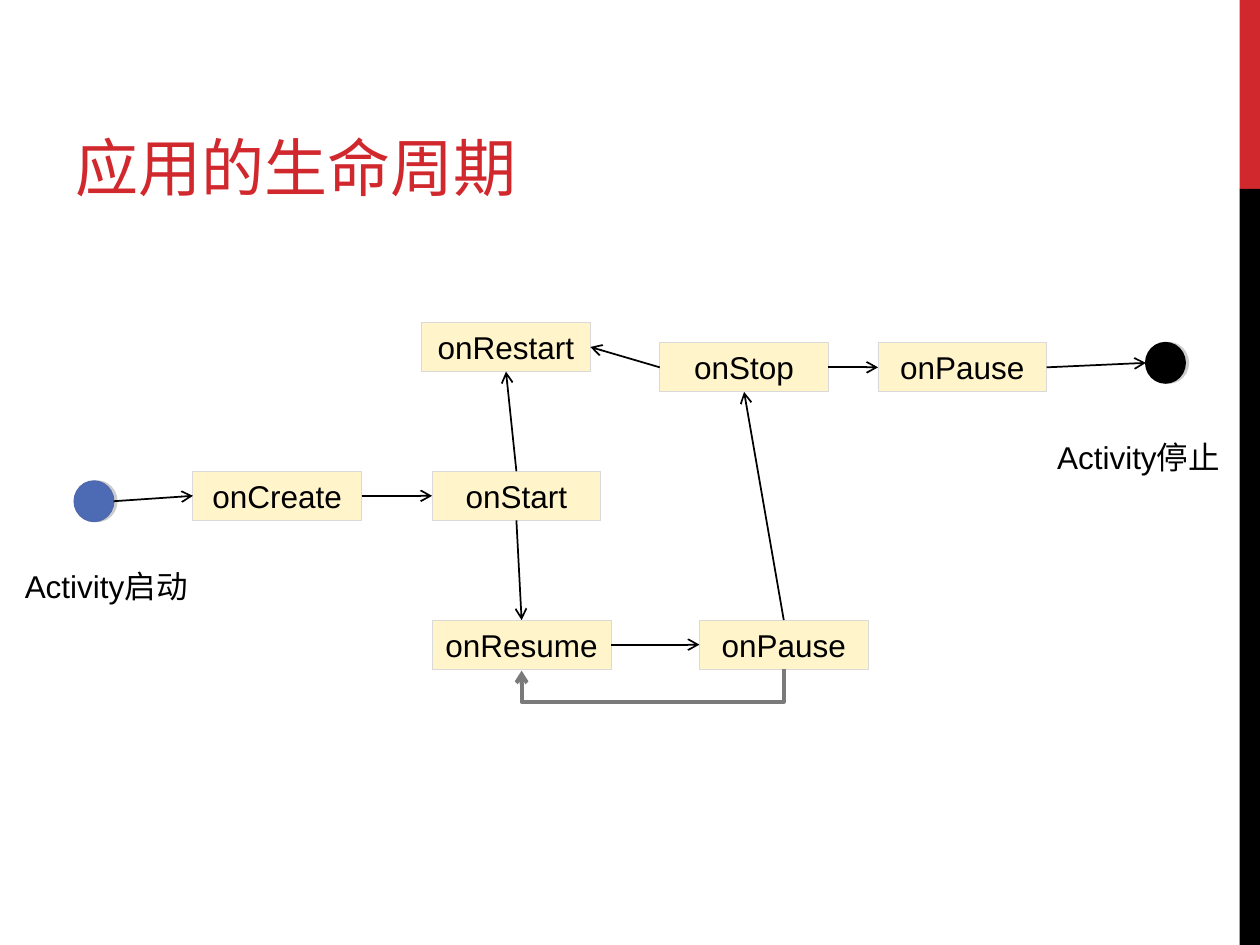
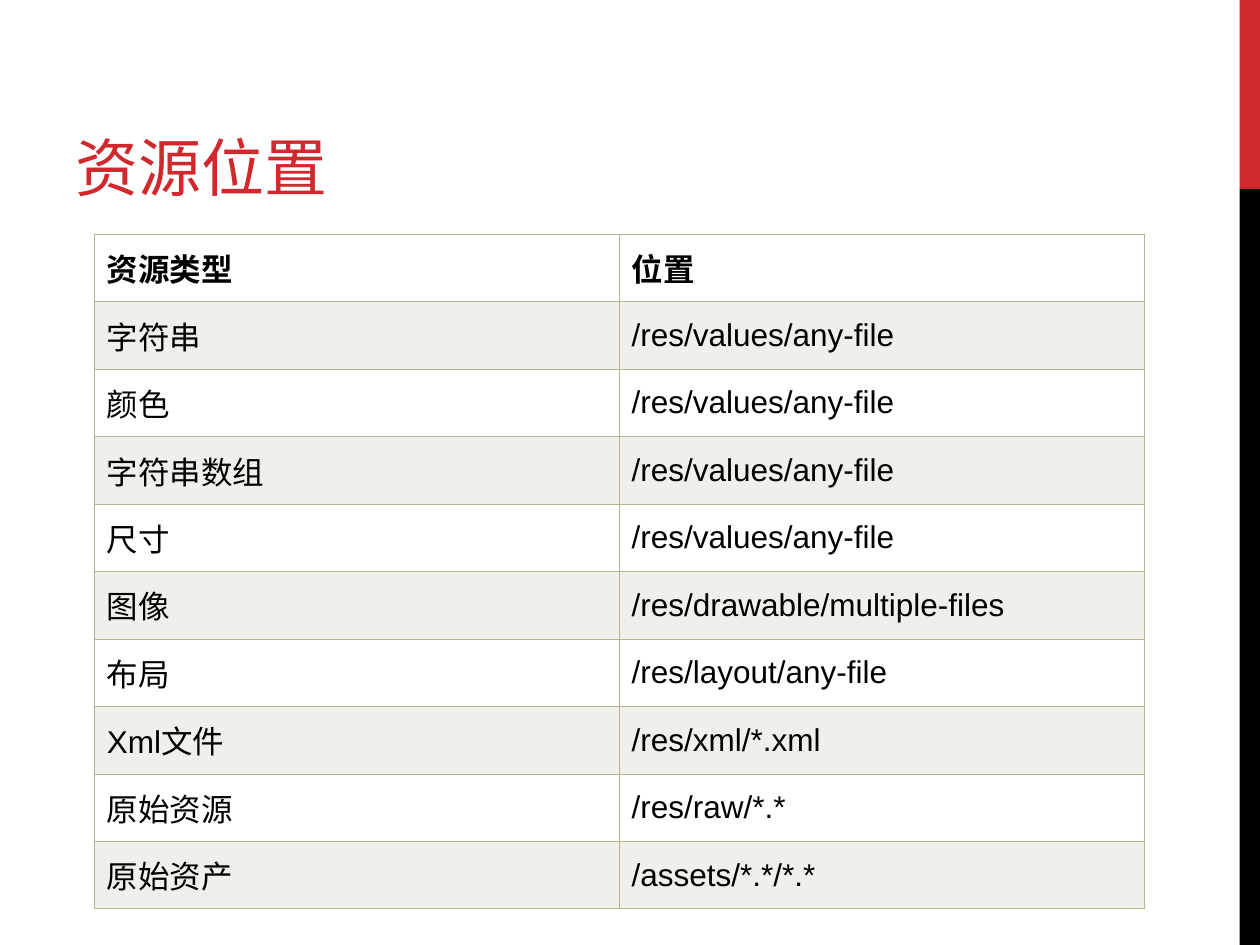
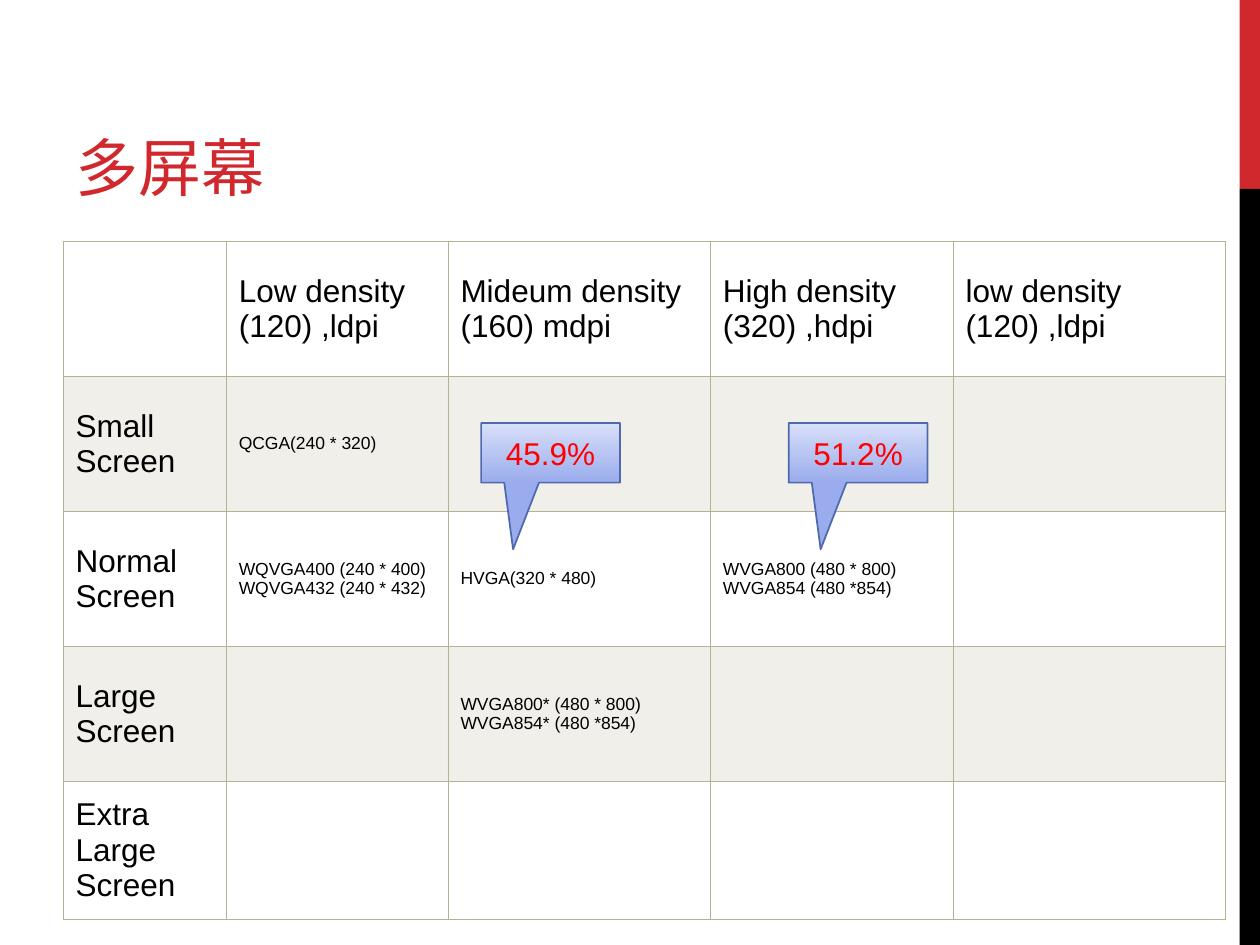
from dataclasses import dataclass
from typing import Any, NamedTuple, Optional

import lxml.etree
import pptx
import pptx.dml.color
import pptx.enum.shapes
import pptx.enum.text
import pptx.oxml.ns
import pptx.util

Cm = pptx.util.Cm
Pt = pptx.util.Pt
qn = pptx.oxml.ns.qn
RGB = pptx.dml.color.RGBColor.from_string
Align = pptx.enum.text.PP_ALIGN
Anchor = pptx.enum.text.MSO_ANCHOR
AutoSize = pptx.enum.text.MSO_AUTO_SIZE
ShapeKind = pptx.enum.shapes.MSO_SHAPE
ConnectorKind = pptx.enum.shapes.MSO_CONNECTOR


# Shared look
@dataclass(frozen=True)
class Theme:
    latin: str = "Arial"
    east_asian: str = "Noto Sans CJK SC"
    red: str = "D1282E"
    black: str = "000000"
    node_fill: str = "FFF4CA"
    node_line: str = "D9D9D9"
    start_fill: str = "4D6BB5"
    blue_line: str = "4E69AE"
    shadow: str = "808080"
    loop: str = "7A7A7A"
    table: str = "B4B392"
    callout_top: str = "D8DFF9"
    callout_bottom: str = "9AACED"
    callout_text: str = "FF0000"
    title_size: float = 36
    body_size: float = 18
    small_size: float = 10


THEME = Theme()
TOP, LEFT, BOTTOM, RIGHT = range(4)


class Box(NamedTuple):
    left: float
    top: float
    width: float
    height: float

    def lengths(self) -> list:
        return [Cm(value) for value in self]

    def side(self, side: int) -> tuple:
        across, down = {TOP: (0.5, 0), LEFT: (0, 0.5),
                        BOTTOM: (0.5, 1), RIGHT: (1, 0.5)}[side]
        return Cm(self.left + across * self.width), Cm(self.top + down * self.height)


@dataclass(frozen=True)
class Node:
    name: str
    box: Box
    text: str = ""
    fill: str = THEME.node_fill
    line: str = THEME.node_line

    @property
    def is_circle(self) -> bool:
        return not self.text


class Arrow(NamedTuple):
    source: str
    source_side: int
    target: str
    target_side: int


class Label(NamedTuple):
    text: str
    box: Box


# Drawing helpers
def apply_format(target: Any, **values: Any) -> None:
    for name, value in values.items():
        setattr(target, name, value)


def add_element(parent: Any, tag: str, **attributes: str) -> Any:
    return lxml.etree.SubElement(parent, qn(tag), attributes)


def write_text(frame: Any, text: str, size: float = THEME.body_size,
               color: str = THEME.black, bold: bool = False,
               align: Any = Align.LEFT) -> None:
    frame.text = text
    for paragraph in frame.paragraphs:
        paragraph.alignment = align
        for run in paragraph.runs:
            apply_format(run.font, size=Pt(size), bold=bold, name=THEME.latin)
            run.font.color.rgb = RGB(color)
            add_element(run.font._element, "a:ea", typeface=THEME.east_asian)


def set_line(line: Any, color: str, width: float) -> None:
    line.color.rgb = RGB(color)
    line.width = Pt(width)


def add_plain_shape(slide: Any, kind: Any, box: Box, fill: Optional[str] = None) -> Any:
    shape = slide.shapes.add_shape(kind, *box.lengths())
    shape.shadow.inherit = False
    shape.line.fill.background()
    if fill:
        shape.fill.solid()
        shape.fill.fore_color.rgb = RGB(fill)
    return shape


def add_bands(slide: Any) -> None:
    """Draw the right-hand bands and move them to the slide's layout."""
    layout_tree = slide.slide_layout.shapes.element
    for box, color in ((Box(24.99, 0, 0.41, 3.81), THEME.red),
                       (Box(24.99, 3.81, 0.41, 15.24), THEME.black)):
        band = add_plain_shape(slide, ShapeKind.RECTANGLE, box, color)
        layout_tree.append(band.element)


def add_titled_slide(presentation: Any, title: str) -> Any:
    slide = presentation.slides.add_slide(presentation.slide_layouts[5])
    placeholder = slide.shapes.title
    left, top, width, height = Box(1.27, 0.43, 16.08, 3.81).lengths()
    apply_format(placeholder, left=left, top=top, width=width, height=height)
    apply_format(placeholder.text_frame, vertical_anchor=Anchor.BOTTOM,
                 auto_size=AutoSize.NONE, word_wrap=True)
    write_text(placeholder.text_frame, title, THEME.title_size, THEME.red)
    return slide


# Life cycle diagram
def add_node(slide: Any, node: Node) -> Any:
    kind = ShapeKind.OVAL if node.is_circle else ShapeKind.RECTANGLE
    shape = add_plain_shape(slide, kind, node.box, node.fill)
    set_line(shape.line, node.line, 1 if node.is_circle else 0.5)
    if node.is_circle:
        effects = shape.element.spPr.find(qn("a:effectLst"))
        shadow = add_element(effects, "a:outerShdw", dist=str(Pt(1.8)), dir="0")
        color = add_element(shadow, "a:srgbClr", val=THEME.shadow)
        add_element(color, "a:alpha", val="40000")
    else:
        shape.text_frame.vertical_anchor = Anchor.MIDDLE
        write_text(shape.text_frame, node.text, align=Align.CENTER)
    return shape


def style_connector(connector: Any, color: str, width: float) -> None:
    set_line(connector.line, color, width)
    add_element(connector.line._get_or_add_ln(), "a:tailEnd", type="arrow")
    add_element(connector.element.spPr, "a:effectLst")


def add_arrow(slide: Any, arrow: Arrow, nodes: dict, shapes: dict) -> None:
    source, target = nodes[arrow.source], nodes[arrow.target]
    connector = slide.shapes.add_connector(
        ConnectorKind.STRAIGHT, *source.box.side(arrow.source_side),
        *target.box.side(arrow.target_side))
    if not source.is_circle:
        connector.begin_connect(shapes[arrow.source], arrow.source_side)
    if not target.is_circle:
        connector.end_connect(shapes[arrow.target], arrow.target_side)
    style_connector(connector, THEME.black, 1)


def add_return_loop(slide: Any, source: Box, target: Box) -> None:
    """Run a bent arrow below two boxes, from the right one to the left one."""
    start_x, bottom = source.side(BOTTOM)
    end_x, _ = target.side(BOTTOM)
    span, depth, drop = start_x - end_x, Cm(0.03), Cm(0.66)
    left = (start_x + end_x - depth) // 2
    top = bottom + (depth - span) // 2
    connector = slide.shapes.add_connector(
        ConnectorKind.ELBOW, left, top, left + depth, top + span)
    properties = connector.element.spPr
    properties.find(qn("a:xfrm")).set("rot", str(90 * 60000))
    guides = properties.find(qn("a:prstGeom")).get_or_add_avLst()
    add_element(guides, "a:gd", name="adj1", fmla=f"val {drop * 100000 // depth}")
    style_connector(connector, THEME.loop, 2.25)


def add_label(slide: Any, label: Label) -> None:
    frame = slide.shapes.add_textbox(*label.box.lengths()).text_frame
    apply_format(frame, word_wrap=False, auto_size=AutoSize.SHAPE_TO_FIT_TEXT)
    write_text(frame, label.text)


def step(name: str, left: float, top: float, text: str = "", width: float = 3.4) -> Node:
    return Node(name, Box(left, top, width, 0.99), text or name)


NODES = [
    Node("begin", Box(1.5, 9.7, 0.79, 0.81), fill=THEME.start_fill, line=THEME.blue_line),
    step("onCreate", 3.89, 9.5),
    step("onStart", 8.71, 9.5),
    step("onStop", 13.3, 6.91),
    step("onPause", 14.1, 12.5),
    step("onResume", 8.71, 12.5, width=3.61),
    step("final pause", 17.7, 6.91, "onPause"),
    Node("finish", Box(23.1, 6.91, 0.79, 0.81), fill=THEME.black, line=THEME.black),
    step("onRestart", 8.5, 6.5),
]
ARROWS = [
    Arrow("begin", RIGHT, "onCreate", LEFT),
    Arrow("onCreate", RIGHT, "onStart", LEFT),
    Arrow("onStart", BOTTOM, "onResume", TOP),
    Arrow("onResume", RIGHT, "onPause", LEFT),
    Arrow("onPause", TOP, "onStop", BOTTOM),
    Arrow("onStop", RIGHT, "final pause", LEFT),
    Arrow("final pause", RIGHT, "finish", LEFT),
    Arrow("onStart", TOP, "onRestart", BOTTOM),
    Arrow("onStop", LEFT, "onRestart", RIGHT),
]
LABELS = [
    Label("Activity启动", Box(0.25, 11.3, 3.94, 1.02)),
    Label("Activity停止", Box(21.06, 8.71, 3.94, 1.02)),
]


def build_life_cycle(slide: Any) -> None:
    nodes = {node.name: node for node in NODES}
    shapes = {node.name: add_node(slide, node) for node in NODES}
    for label in LABELS:
        add_label(slide, label)
    for arrow in ARROWS:
        add_arrow(slide, arrow, nodes, shapes)
    add_return_loop(slide, nodes["onPause"].box, nodes["onResume"].box)


# Tables
def format_cell(cell: Any, row: int) -> None:
    cell.vertical_anchor = Anchor.MIDDLE
    properties = cell._tc.get_or_add_tcPr()
    if row % 2:
        cell.fill.solid()
        cell.fill.fore_color.rgb = RGB(THEME.table)
        color = properties.find(qn("a:solidFill")).find(qn("a:srgbClr"))
        add_element(color, "a:alpha", val="20000")
    else:
        cell.fill.background()
    heavy = {0: "a:lnB", 1: "a:lnT"}.get(row)
    for index, tag in enumerate(("a:lnL", "a:lnR", "a:lnT", "a:lnB")):
        width = Pt(0.96 if tag == heavy else 0.45)
        border = add_element(properties, tag, w=str(width))
        add_element(add_element(border, "a:solidFill"), "a:srgbClr", val=THEME.table)
        properties.insert(index, border)


def add_grid(slide: Any, left: float, top: float, widths: list, heights: list,
             rows: list, bold_header: bool = False,
             value_size: float = THEME.body_size) -> None:
    box = Box(left, top, sum(widths), sum(heights))
    table = slide.shapes.add_table(len(rows), len(widths), *box.lengths()).table
    apply_format(table, first_row=False, horz_banding=False)
    for column, width in zip(table.columns, widths):
        column.width = Cm(width)
    for row, height in zip(table.rows, heights):
        row.height = Cm(height)
    for row_index, texts in enumerate(rows):
        for column_index, text in enumerate(texts):
            cell = table.cell(row_index, column_index)
            format_cell(cell, row_index)
            is_value = row_index > 0 and column_index > 0
            write_text(cell.text_frame, text,
                       size=value_size if is_value else THEME.body_size,
                       bold=bold_header and row_index == 0)


VALUES_FILE = "/res/values/any-file"
RESOURCES = [
    ("资源类型", "位置"),
    ("字符串", VALUES_FILE),
    ("颜色", VALUES_FILE),
    ("字符串数组", VALUES_FILE),
    ("尺寸", VALUES_FILE),
    ("图像", "/res/drawable/multiple-files"),
    ("布局", "/res/layout/any-file"),
    ("Xml文件", "/res/xml/*.xml"),
    ("原始资源", "/res/raw/*.*"),
    ("原始资产", "/assets/*.*/*.*"),
]
SCREENS = [
    ("", "Low density (120) ,ldpi", "Mideum density (160) mdpi",
     "High density (320) ,hdpi", "low density (120) ,ldpi"),
    ("Small Screen", "QCGA(240 * 320)", "", "", ""),
    ("Normal Screen", "WQVGA400 (240 * 400)\nWQVGA432 (240 * 432)",
     "HVGA(320 * 480)", "WVGA800 (480 * 800)\nWVGA854 (480 *854)", ""),
    ("Large Screen", "", "WVGA800* (480 * 800)\nWVGA854* (480 *854)", "", ""),
    ("Extra Large\nScreen", "", "", "", ""),
]
CALLOUTS = [
    Label("45.9%", Box(9.7, 8.53, 2.8, 1.2)),
    Label("51.2%", Box(15.9, 8.53, 2.8, 1.2)),
]


def add_callout(slide: Any, label: Label) -> None:
    shape = add_plain_shape(slide, ShapeKind.RECTANGULAR_CALLOUT, label.box)
    shape.adjustments[0], shape.adjustments[1] = -0.27, 1.62
    shape.fill.gradient()
    shape.fill.gradient_angle = 270
    for stop, color in zip(shape.fill.gradient_stops,
                           (THEME.callout_top, THEME.callout_bottom)):
        stop.color.rgb = RGB(color)
    set_line(shape.line, THEME.blue_line, 1)
    shape.text_frame.vertical_anchor = Anchor.MIDDLE
    write_text(shape.text_frame, label.text, color=THEME.callout_text, align=Align.CENTER)


def build_resources(slide: Any) -> None:
    add_grid(slide, 1.9, 4.72, [10.58] * 2, [1.36] * len(RESOURCES), RESOURCES,
             bold_header=True)


def build_screens(slide: Any) -> None:
    add_grid(slide, 1.27, 4.87, [3.29, 4.47, 5.29, 4.89, 5.49], [2.72] * 4 + [2.78],
             SCREENS, value_size=THEME.small_size)
    for callout in CALLOUTS:
        add_callout(slide, callout)


def main() -> None:
    presentation = pptx.Presentation()
    apply_format(presentation, slide_width=Cm(25.4), slide_height=Cm(19.05))
    pages = (("应用的生命周期", build_life_cycle), ("资源位置", build_resources),
             ("多屏幕", build_screens))
    for index, (title, build) in enumerate(pages):
        slide = add_titled_slide(presentation, title)
        if index == 0:
            add_bands(slide)
        build(slide)
    presentation.save("out.pptx")


if __name__ == "__main__":
    main()
